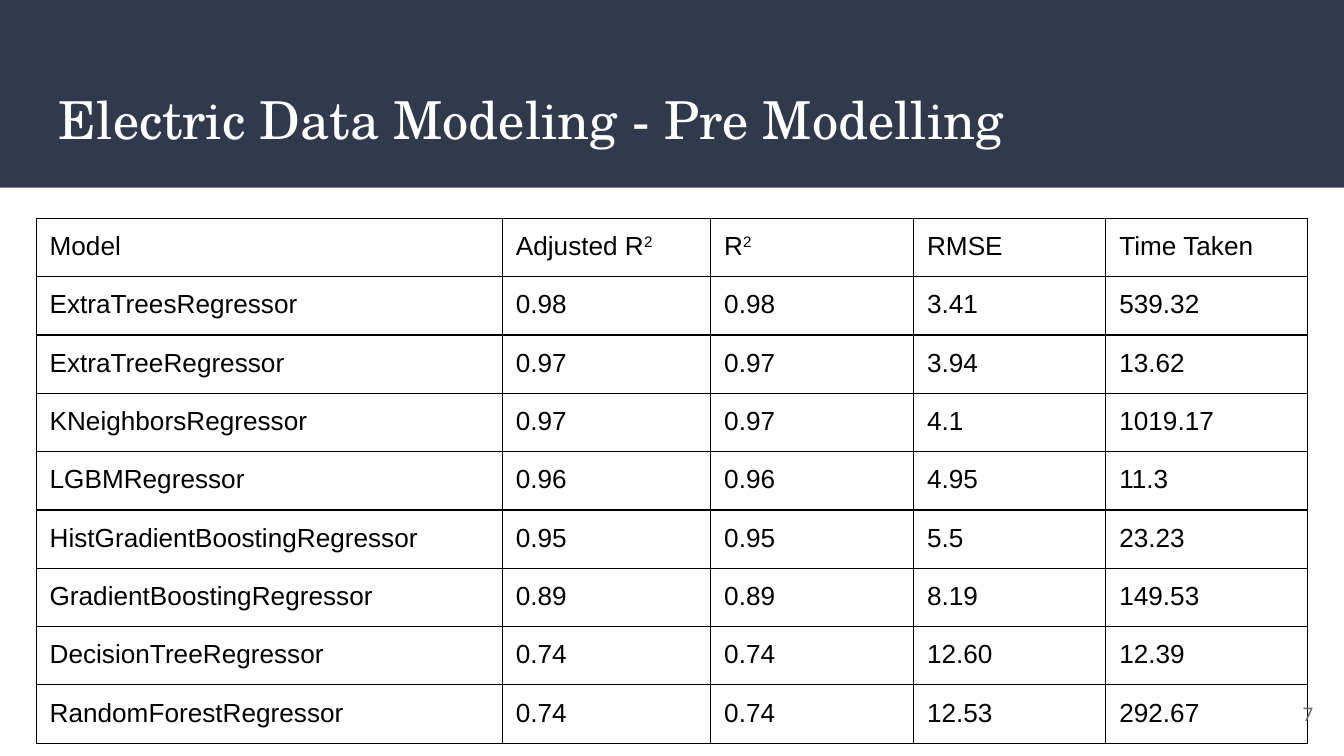
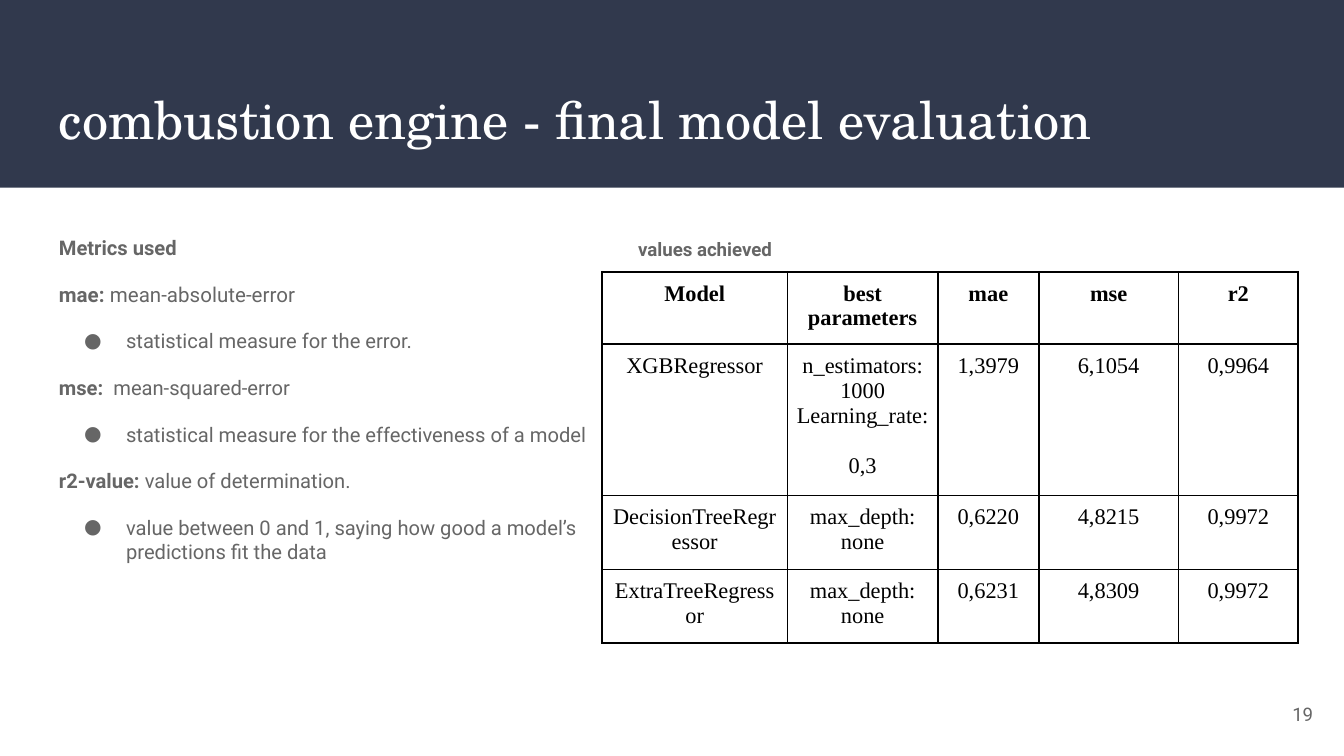
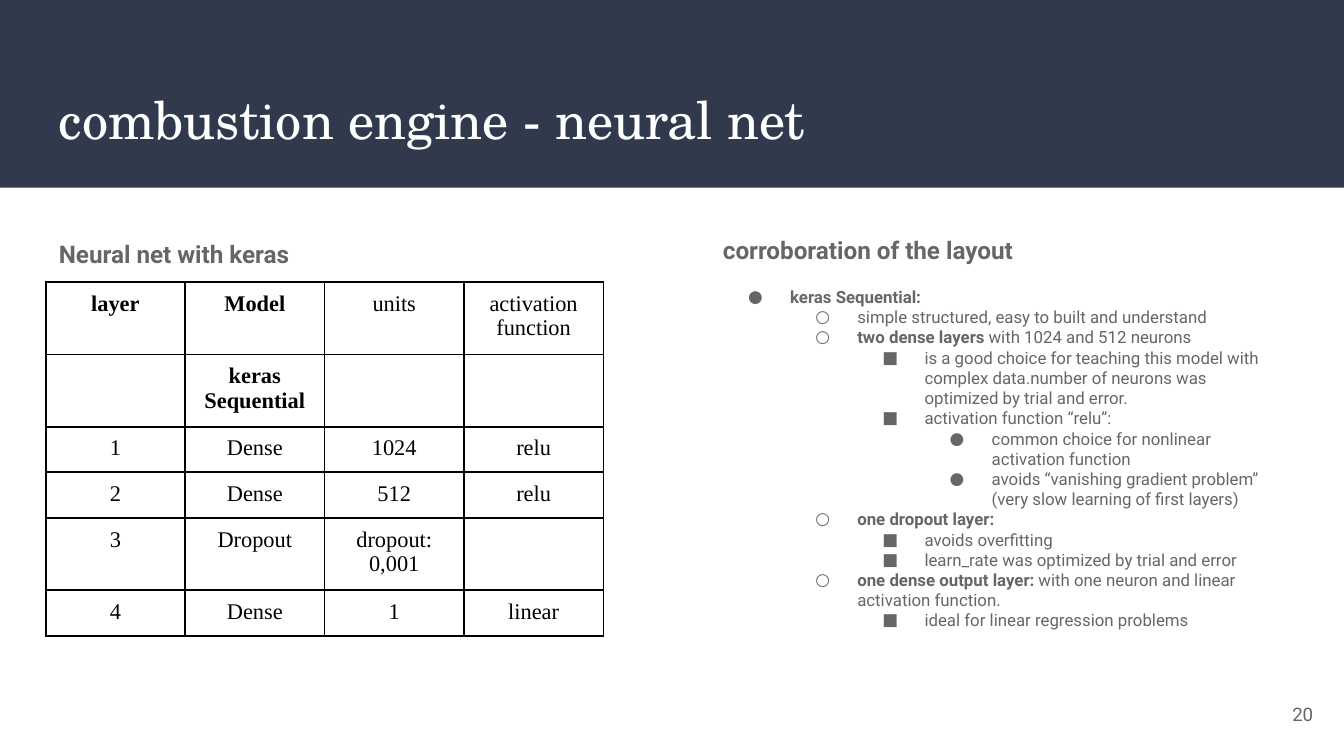
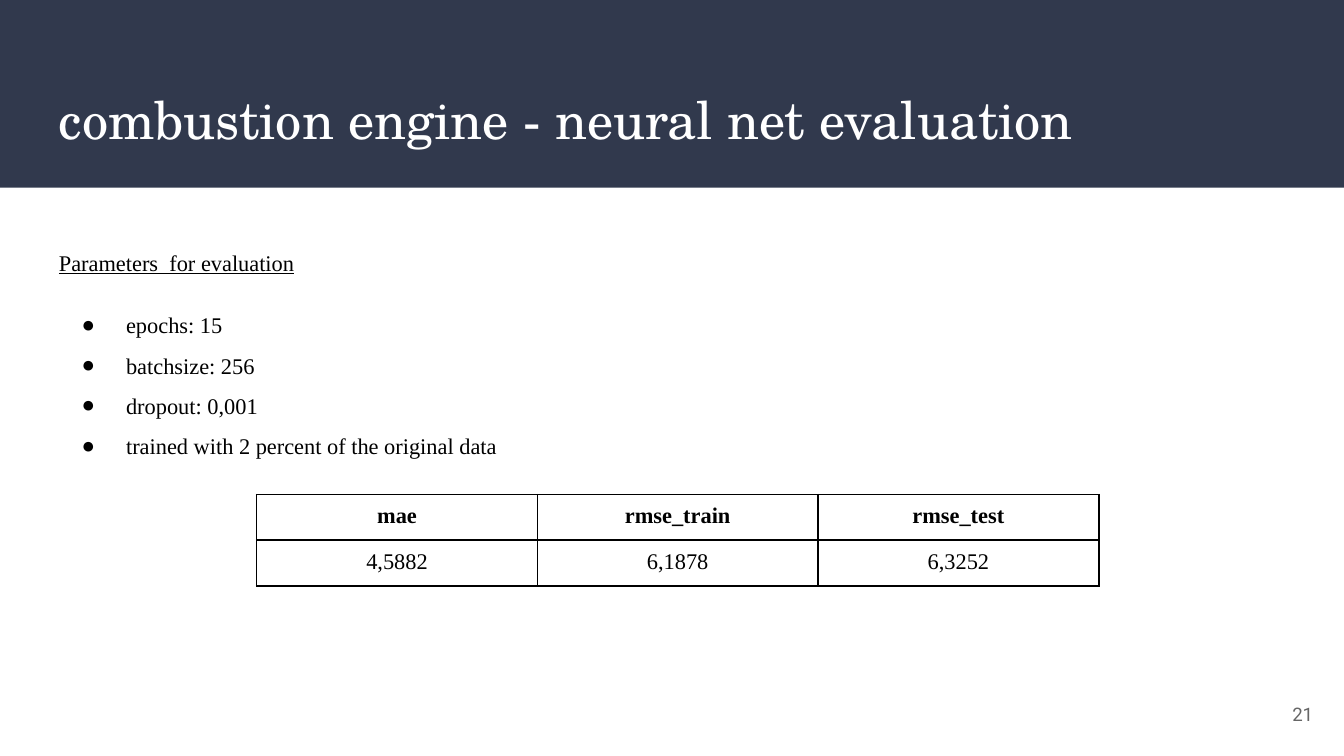
from dataclasses import dataclass

from lxml import etree
from pptx import Presentation
from pptx.dml.color import RGBColor
from pptx.enum import shapes, text
from pptx.oxml import ns
from pptx.util import Pt


@dataclass(frozen=True)
class Theme:
    navy: str = "31394D"
    white: str = "FFFFFF"
    grey: str = "666666"
    black: str = "000000"
    title_font: str = "TeX Gyre Schola"
    body_font: str = "Roboto"
    serif: str = "Times New Roman"
    sans: str = "Arial"
    title_size: float = 28
    number_size: float = 10
    caption_size: float = 10
    heading_size: float = 13
    metric_size: float = 10.8
    metric_lead_size: float = 11
    detail_size: float = 9
    table_size: float = 12
    wide_table_size: float = 14


theme = Theme()
BULLETS = "●○■●"
TITLE_BOX = (24.5, 39.6, 671, 49)
NUMBER_BOX = (667.4, 367.2, 43.2, 31)
LEFT_BOX = (24.5, 118.8, 314.6, 242)


def add_text_box(slide, box):
    frame = slide.shapes.add_textbox(*[Pt(length) for length in box]).text_frame
    frame.word_wrap = True
    frame.margin_left = frame.margin_right = Pt(7.2)
    frame.margin_top = frame.margin_bottom = Pt(7.2)
    return frame


def write_runs(paragraph, runs, font_name, size, colour):
    """Runs are a plain string or (text, mark) pairs; marks: bold, underline, super."""
    for words, mark in [(runs, "")] if isinstance(runs, str) else runs:
        run = paragraph.add_run()
        run.text = words
        run.font.name = font_name
        run.font.size = Pt(size)
        run.font.color.rgb = RGBColor.from_string(colour)
        run.font.bold = mark == "bold"
        if mark == "underline":
            run.font.underline = True
        if mark == "super":
            run.font.element.set("baseline", "30000") if hasattr(run.font, "element") else \
                run._r.get_or_add_rPr().set("baseline", "30000")


# Slide contents: each paragraph is (bullet level, space before, size, runs)
metric, lead, detail = theme.metric_size, theme.metric_lead_size, theme.detail_size
plain = theme.table_size
regressors = [
    ("ExtraTreesRegressor", "0.98", "3.41", "539.32"),
    ("ExtraTreeRegressor", "0.97", "3.94", "13.62"),
    ("KNeighborsRegressor", "0.97", "4.1", "1019.17"),
    ("LGBMRegressor", "0.96", "4.95", "11.3"),
    ("HistGradientBoostingRegressor", "0.95", "5.5", "23.23"),
    ("GradientBoostingRegressor", "0.89", "8.19", "149.53"),
    ("DecisionTreeRegressor", "0.74", "12.60", "12.39"),
    ("RandomForestRegressor", "0.74", "12.53", "292.67"),
]
squared = ("2", "super")
serif_table = dict(font=theme.serif, size=theme.table_size, margin=5, border=1,
                   align=text.PP_ALIGN.CENTER)
roboto_box = dict(font=theme.body_font, colour=theme.grey, spacing=None, hang=22.5)

slides = [
    dict(
        title="Electric Data Modeling - Pre Modelling", number="7", boxes=[],
        table=dict(
            font=theme.sans, size=theme.wide_table_size, margin=7.2, border=0.75,
            align=text.PP_ALIGN.LEFT, left=19.4, top=117,
            widths=[249.8, 111.6, 108.7, 103, 108], heights=[30.1] * 9,
            rows=[["Model", [("Adjusted R", ""), squared], [("R", ""), squared],
                   "RMSE", "Time Taken"]]
            + [[name, score, score, rmse, seconds]
               for name, score, rmse, seconds in regressors])),
    dict(
        title="combustion engine - final model evaluation", number="19",
        boxes=[
            dict(roboto_box, box=LEFT_BOX, paragraphs=[
                (0, 0, metric, [("Metrics used", "bold")]),
                (0, 12, lead, [("mae: ", "bold"), ("mean-absolute-error", "")]),
                (1, 12, metric, "statistical measure for the error."),
                (0, 12, metric, [("mse:  ", "bold"), ("mean-squared-error", "")]),
                (1, 12, metric, "statistical measure for the effectiveness of a model"),
                (0, 12, metric, [("r2-value: ", "bold"), ("value of determination.", "")]),
                (1, 12, metric, "value between 0 and 1, saying how good a model’s "
                                "predictions fit the data")]),
            dict(roboto_box, spacing=1.15, box=(334.8, 118.8, 366.5, 242), paragraphs=[
                (0, 0, theme.caption_size, [("values achieved", "bold")])])],
        table=dict(
            serif_table, left=322.5, top=145.6, widths=[99.4, 80.6, 54, 74.9, 64.1],
            heights=[36.5, 76.6, 39.6, 39.6],
            rows=[[[(name, "bold")] for name in
                   ("Model", "best parameters", "mae", "mse", "r2")],
                  ["XGBRegressor", "n_estimators: 1000\vLearning_rate:\n0,3",
                   "1,3979", "6,1054", "0,9964"],
                  ["DecisionTreeRegressor", "max_depth: none", "0,6220", "4,8215", "0,9972"],
                  ["ExtraTreeRegressor", "max_depth: none", "0,6231", "4,8309", "0,9972"]])),
    dict(
        title="combustion engine - neural net", number="20",
        boxes=[
            dict(roboto_box, spacing=1.15, box=LEFT_BOX, paragraphs=[
                (0, 0, theme.heading_size, [("Neural net with keras", "bold")])]),
            dict(roboto_box, box=(380.2, 118.8, 314.6, 242), paragraphs=[
                (0, 0, theme.heading_size, [("corroboration of the layout", "bold")]),
                (1, 12, detail, [("keras Sequential:", "bold")]),
                (2, 0, detail, "simple structured, easy to built and understand"),
                (2, 0, detail, [("two dense layers", "bold"),
                                (" with 1024 and 512 neurons", "")]),
                (3, 0, detail, "is a good choice for teaching this model with complex "
                               "data.number of neurons was optimized by trial and error."),
                (3, 0, detail, "activation function “relu”:"),
                (4, 0, detail, "common choice for nonlinear activation function"),
                (4, 0, detail, "avoids “vanishing gradient problem” "
                               "(very slow learning of first layers)"),
                (2, 0, detail, [("one dropout layer:", "bold")]),
                (3, 0, detail, "avoids overfitting"),
                (3, 0, detail, "learn_rate was optimized by trial and error"),
                (2, 0, detail, [("one dense output layer: ", "bold"),
                                ("with one neuron and linear activation function.", "")]),
                (3, 0, detail, "ideal for linear regression problems")])],
        table=dict(
            serif_table, left=24.5, top=151, widths=[74.7] * 4,
            heights=[36.6, 36.6, 23.3, 23.3, 36.6, 23.3],
            rows=[[[("layer", "bold")], [("Model", "bold")], "units", "activation function"],
                  ["", [("keras Sequential", "bold")], "", ""],
                  ["1", "Dense", "1024", "relu"],
                  ["2", "Dense", "512", "relu"],
                  ["3", "Dropout", "dropout: 0,001", ""],
                  ["4", "Dense", "1", "linear"]])),
    dict(
        title="combustion engine - neural net evaluation", number="21",
        boxes=[
            dict(box=LEFT_BOX, font=theme.serif, colour=theme.black, spacing=1.5, hang=23.8,
                 paragraphs=[
                     (0, 0, plain, [("Parameters  for evaluation", "underline")]),
                     (1, 12, plain, "epochs: 15"),
                     (1, 0, plain, "batchsize: 256"),
                     (1, 0, plain, "dropout: 0,001"),
                     (1, 0, plain, "trained with 2 percent of the original data")])],
        table=dict(
            serif_table, left=137.5, top=265, widths=[150.4] * 3, heights=[23.3] * 2,
            rows=[[[(name, "bold")] for name in ("mae", "rmse_train", "rmse_test")],
                  ["4,5882", "6,1878", "6,3252"]])),
]

presentation = Presentation()
presentation.slide_width, presentation.slide_height = Pt(720), Pt(405)

for content in slides:
    slide = presentation.slides.add_slide(presentation.slide_layouts[6])

    # Title band
    band = slide.shapes.add_shape(shapes.MSO_SHAPE.RECTANGLE, 0, 0, Pt(720), Pt(100.5))
    band.shadow.inherit = False
    band.fill.solid()
    band.fill.fore_color.rgb = RGBColor.from_string(theme.navy)
    band.line.fill.background()
    write_runs(add_text_box(slide, TITLE_BOX).paragraphs[0], content["title"],
               theme.title_font, theme.title_size, theme.white)

    # Body text with bullets
    for body in content["boxes"]:
        frame = add_text_box(slide, body["box"])
        for index, (level, before, size, runs) in enumerate(body["paragraphs"]):
            paragraph = frame.add_paragraph() if index else frame.paragraphs[0]
            paragraph.space_before = Pt(before)
            if body["spacing"]:
                paragraph.line_spacing = body["spacing"]
            if level:
                paragraph.level = level - 1
                properties = paragraph._p.get_or_add_pPr()
                properties.set("marL", str(Pt(36 * level)))
                properties.set("indent", str(-Pt(body["hang"])))
                colour = etree.SubElement(properties, ns.qn("a:buClr"))
                etree.SubElement(colour, ns.qn("a:srgbClr"), val=body["colour"])
                etree.SubElement(properties, ns.qn("a:buFont"), typeface=body["font"])
                etree.SubElement(properties, ns.qn("a:buChar"), char=BULLETS[level - 1])
            write_runs(paragraph, runs, body["font"], size, body["colour"])

    # Table
    grid = content["table"]
    widths, heights = grid["widths"], grid["heights"]
    table = slide.shapes.add_table(
        len(heights), len(widths), Pt(grid["left"]), Pt(grid["top"]),
        Pt(sum(widths)), Pt(sum(heights))).table
    table.first_row = table.horz_banding = False
    for column, width in zip(table.columns, widths):
        column.width = Pt(width)
    for row, height, entries in zip(table.rows, heights, grid["rows"]):
        row.height = Pt(height)
        for cell, entry in zip(row.cells, entries):
            cell.margin_left = cell.margin_right = Pt(grid["margin"])
            cell.margin_top = cell.margin_bottom = Pt(grid["margin"])
            cell.fill.background()
            for position, side in enumerate(("lnL", "lnR", "lnT", "lnB")):
                border = etree.Element(ns.qn("a:" + side), w=str(Pt(grid["border"])))
                fill = etree.SubElement(border, ns.qn("a:solidFill"))
                etree.SubElement(fill, ns.qn("a:srgbClr"), val=theme.black)
                cell._tc.get_or_add_tcPr().insert(position, border)
            parts = entry.split("\n") if isinstance(entry, str) else [entry]
            for index, part in enumerate(parts):
                frame = cell.text_frame
                paragraph = frame.add_paragraph() if index else frame.paragraphs[0]
                paragraph.alignment = grid["align"]
                if index:
                    paragraph.space_before = Pt(13.4)
                lines = part.split("\v") if isinstance(part, str) else [part]
                for line_index, line in enumerate(lines):
                    if line_index:
                        paragraph.add_line_break()
                    if line:
                        write_runs(paragraph, line, grid["font"], grid["size"], theme.black)

    # Slide number
    frame = add_text_box(slide, NUMBER_BOX)
    frame.vertical_anchor = text.MSO_ANCHOR.MIDDLE
    frame.paragraphs[0].alignment = text.PP_ALIGN.RIGHT
    write_runs(frame.paragraphs[0], content["number"],
               theme.body_font, theme.number_size, theme.grey)

presentation.save("out.pptx")
